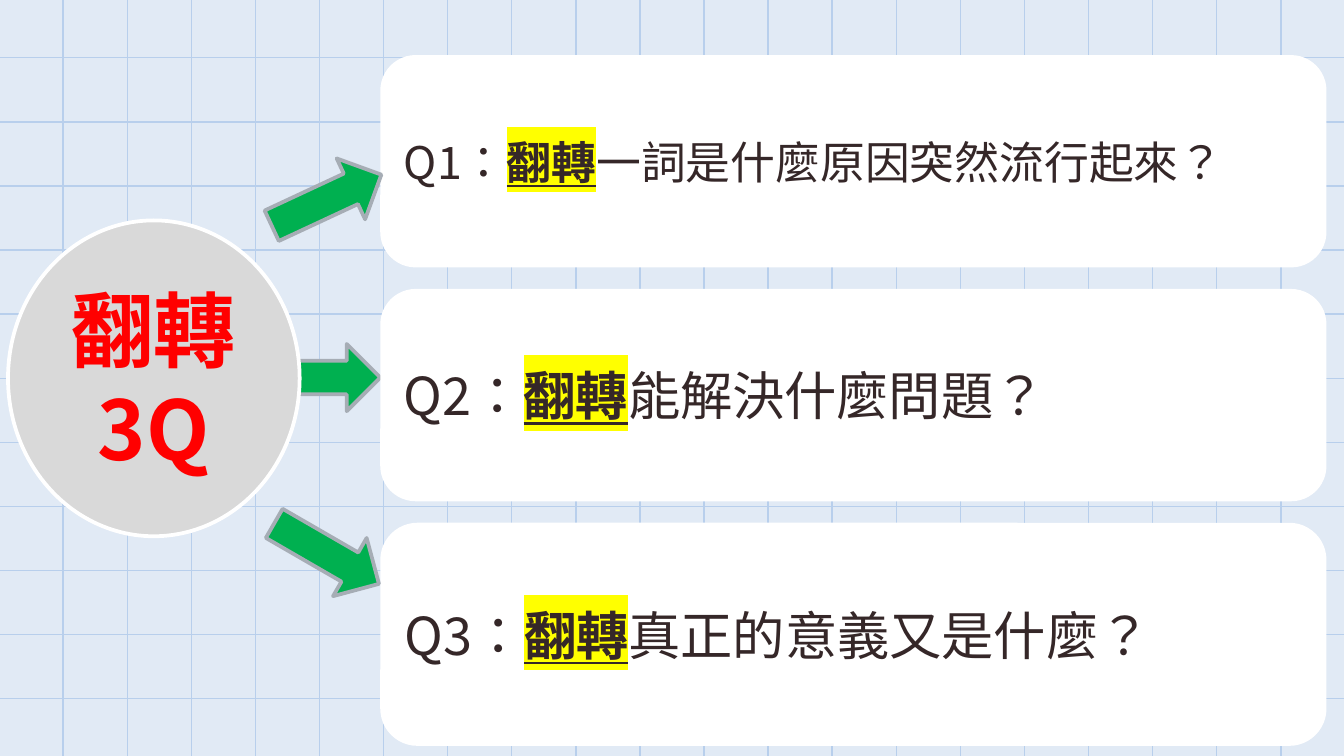
from dataclasses import dataclass

from lxml.etree import SubElement
from pptx import Presentation
from pptx.dml.color import RGBColor
from pptx.enum.shapes import MSO_CONNECTOR, MSO_SHAPE
from pptx.enum.text import MSO_ANCHOR, PP_ALIGN
from pptx.oxml.ns import qn
from pptx.shapes.autoshape import Shape
from pptx.slide import Slide
from pptx.text.text import _Run as Run
from pptx.util import Inches, Pt

FONT = "Noto Sans CJK TC"
LANGUAGE = "zh-TW"
COLORS = {
    "background": "E1EAF5",
    "grid": "B8CFEC",
    "arrow": "00B050",
    "arrow_edge": "A6ADB5",
    "circle": "D9D9D9",
    "white": "FFFFFF",
    "title": "FF0000",
    "text": "352728",
    "highlight": "FFFF00",
}
WIDTH = 10
HEIGHT = WIDTH * 9 / 16
GRID_LEFT, GRID_TOP = 0.47, 0.43
GRID_STEP = 9.06 / 19
COLUMNS, ROWS = 20, 11
KEYWORD = "翻轉"


@dataclass
class Arrow:
    left: float
    top: float
    rotation: float = 0


@dataclass
class Question:
    label: str
    ending: str
    top: float
    height: float
    size: int


MIDDLE_ARROW = Arrow(1.93, 2.56)
SLANTED_ARROWS = [Arrow(1.98, 1.24, 335), Arrow(1.98, 3.87, 30)]
QUESTIONS = [
    Question("Q1：", "一詞是什麼原因突然流行起來？", 0.41, 1.58, 24),
    Question("Q2：", "能解決什麼問題？", 2.15, 1.58, 28),
    Question("Q3：", "真正的意義又是什麼？", 3.89, 1.66, 28),
]


def color(name: str) -> RGBColor:
    return RGBColor.from_string(COLORS[name])


def add_grid_line(slide: Slide, x1: float, y1: float, x2: float, y2: float) -> None:
    line = slide.shapes.add_connector(
        MSO_CONNECTOR.STRAIGHT, Inches(x1), Inches(y1), Inches(x2), Inches(y2))
    line.line.color.rgb = color("grid")
    line.line.width = Pt(0.75)
    SubElement(line._element.spPr, qn("a:effectLst"))


def add_shape(slide: Slide, kind: MSO_SHAPE, left: float, top: float, width: float,
              height: float, fill: str, edge: str | None = None) -> Shape:
    shape = slide.shapes.add_shape(
        kind, Inches(left), Inches(top), Inches(width), Inches(height))
    shape.shadow.inherit = False
    shape.fill.solid()
    shape.fill.fore_color.rgb = color(fill)
    if edge:
        shape.line.color.rgb = color(edge)
        shape.line.width = Pt(2)
    else:
        shape.line.fill.background()
    shape.text_frame.word_wrap = True
    shape.text_frame.vertical_anchor = MSO_ANCHOR.MIDDLE
    return shape


def format_run(run: Run, size: int, color_name: str, bold: bool = False,
               marked: bool = False) -> None:
    font = run.font
    font.size = Pt(size)
    font.bold = bold
    font.underline = marked
    font.color.rgb = color(color_name)
    # Language, highlight and East Asian typeface
    properties = run._r.get_or_add_rPr()
    properties.set("lang", LANGUAGE)
    if marked:
        highlight = SubElement(properties, qn("a:highlight"))
        SubElement(highlight, qn("a:srgbClr"), val=COLORS["highlight"])
    font.name = FONT
    SubElement(properties, qn("a:ea"), typeface=FONT)


def add_arrow(slide: Slide, arrow: Arrow) -> None:
    shape = add_shape(slide, MSO_SHAPE.RIGHT_ARROW, arrow.left, arrow.top,
                      0.9, 0.5, "arrow", "arrow_edge")
    shape.rotation = arrow.rotation


def add_circle(slide: Slide) -> None:
    circle = add_shape(slide, MSO_SHAPE.OVAL, 0.06, 1.64, 2.17, 2.35, "circle", "white")
    circle.text_frame.text = KEYWORD + "3Q"
    paragraph = circle.text_frame.paragraphs[0]
    paragraph.alignment = PP_ALIGN.CENTER
    format_run(paragraph.runs[0], 44, "title", bold=True)


def add_question(slide: Slide, question: Question) -> None:
    box = add_shape(slide, MSO_SHAPE.ROUNDED_RECTANGLE, 2.83, question.top,
                    7.04, question.height, "white")
    paragraph = box.text_frame.paragraphs[0]
    paragraph.alignment = PP_ALIGN.LEFT
    for text in (question.label, KEYWORD, question.ending):
        run = paragraph.add_run()
        run.text = text
        marked = text == KEYWORD
        format_run(run, question.size, "text", bold=marked, marked=marked)


def main() -> None:
    presentation = Presentation()
    presentation.slide_width = Inches(WIDTH)
    presentation.slide_height = Inches(HEIGHT)
    slide = presentation.slides.add_slide(presentation.slide_layouts[6])
    slide.background.fill.solid()
    slide.background.fill.fore_color.rgb = color("background")

    # Background grid
    for column in range(COLUMNS):
        x = GRID_LEFT + column * GRID_STEP
        add_grid_line(slide, x, 0, x, HEIGHT)
    for row in range(ROWS):
        y = GRID_TOP + row * GRID_STEP
        add_grid_line(slide, 0, y, WIDTH, y)

    # The middle arrow starts behind the circle
    add_arrow(slide, MIDDLE_ARROW)
    add_circle(slide)

    # Questions, with the slanted arrows on top
    for question in QUESTIONS:
        add_question(slide, question)
    for arrow in SLANTED_ARROWS:
        add_arrow(slide, arrow)

    presentation.save("out.pptx")


if __name__ == "__main__":
    main()
